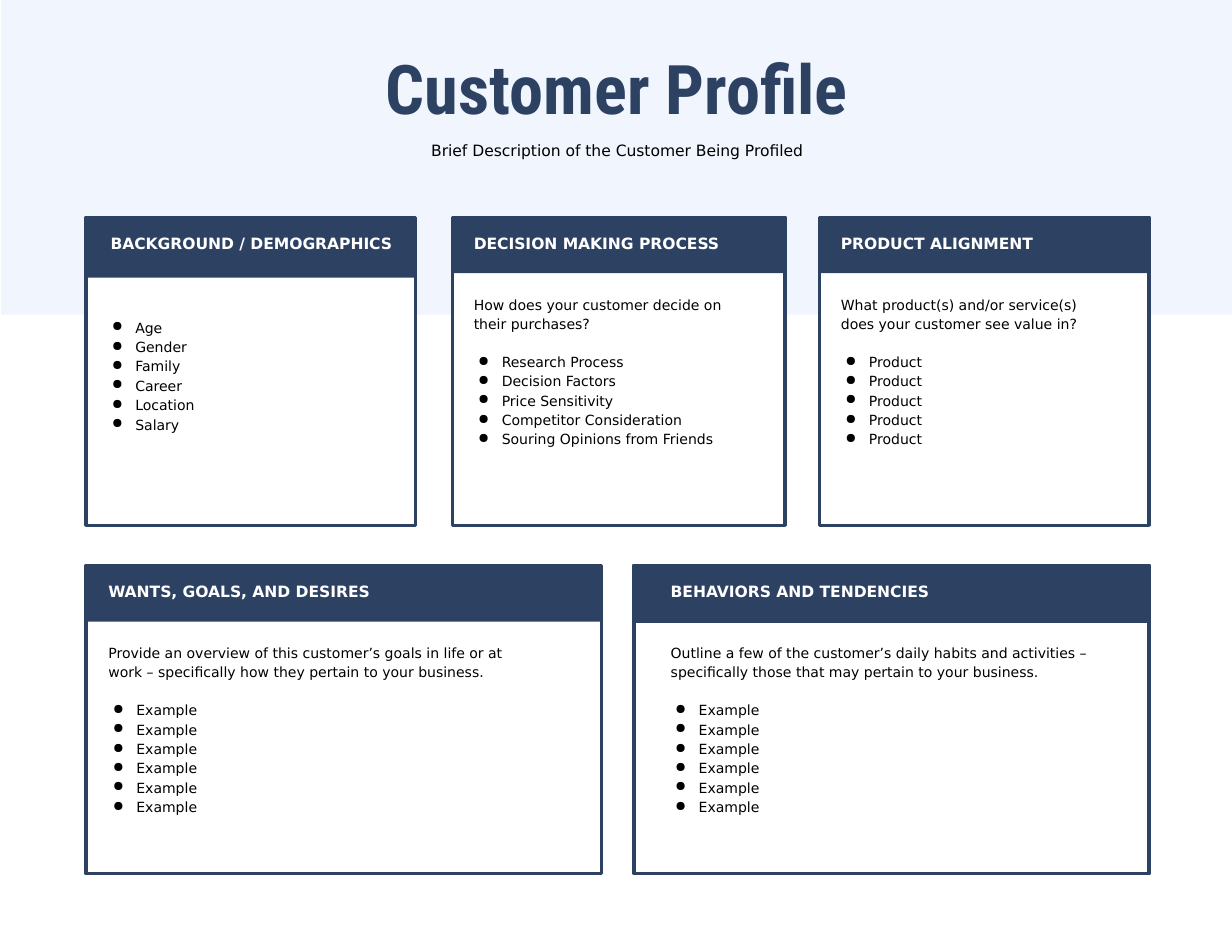
from lxml import etree
from pptx import Presentation, util as u
from pptx.dml.color import RGBColor
from pptx.enum import shapes, text
from pptx.oxml.ns import qn

Pt = u.Pt
NAVY, WHITE, BLACK, BLUE = "2D4262", "FFFFFF", "000000", "1C56F7"
SANS, TITLE = "DejaVu Sans", "Roboto Condensed"
PAGE_W, PAGE_H = 792, 612
PAD = 7.2


def color(code):
    return RGBColor.from_string(code)


def add_rect(slide, box, fill, line=None, alpha=None):
    rect = slide.shapes.add_shape(shapes.MSO_SHAPE.RECTANGLE, *map(Pt, box))
    rect.shadow.inherit = False
    rect.fill.solid()
    rect.fill.fore_color.rgb = color(fill)
    if alpha:
        tint = rect.fill._xPr.find(".//" + qn("a:srgbClr"))
        etree.SubElement(tint, qn("a:alpha"), val=str(alpha * 1000))
    if line:
        rect.line.color.rgb = color(line)
        rect.line.width = Pt(2.25)
    else:
        rect.line.fill.background()


def add_bullet(para):
    props = para._p.get_or_add_pPr()
    props.set("marL", str(Pt(18)))
    props.set("indent", str(Pt(-15.1)))
    tint = etree.SubElement(props, qn("a:buClr"))
    etree.SubElement(tint, qn("a:srgbClr"), val=BLACK)
    etree.SubElement(props, qn("a:buChar"), char="●")


def add_text(slide, box, lines, size=9, font=SANS, ink=BLACK, bold=False,
             center=False, space=None, lead=0):
    """Lines from index lead on are bullets; lead=None means no bullets."""
    area = slide.shapes.add_textbox(*map(Pt, box))
    frame = area.text_frame
    frame.word_wrap = True
    frame.auto_size = text.MSO_AUTO_SIZE.SHAPE_TO_FIT_TEXT
    frame.margin_left = frame.margin_right = Pt(PAD)
    frame.margin_top = frame.margin_bottom = Pt(PAD)
    for i, line in enumerate(lines):
        para = frame.paragraphs[0] if i == 0 else frame.add_paragraph()
        if center:
            para.alignment = text.PP_ALIGN.CENTER
        if space:
            para.line_spacing = space
        if lead is not None and i >= lead:
            para.space_before = para.space_after = Pt(0)
            add_bullet(para)
        elif lead:
            para.space_after = Pt(12)
        run = para.add_run()
        run.text = line
        run.font.size = Pt(size)
        run.font.name = font
        run.font.bold = bold
        run.font.color.rgb = color(ink)


def add_header(slide, box):
    x, y, w, h = box
    add_rect(slide, box, BLUE, alpha=6)
    add_text(slide, (x, y + 22.3, w, 67.7), ["Customer Profile"], size=44,
             font=TITLE, ink=NAVY, bold=True, center=True, lead=None)
    add_text(slide, (x, y + 82, w, 26.6),
             ["Brief Description of the Customer Being Profiled"],
             size=10, center=True, space=1.15, lead=None)


def add_panel(slide, box, head, items, intro=None, bar=36, edge=None,
              head_dx=6.5, head_w=188, dx=6.5, dy=41.8, body_w=188):
    x, y, w, h = box
    add_rect(slide, box, WHITE, line=NAVY)
    add_rect(slide, (x, y, w, bar), NAVY, line=edge)
    add_text(slide, (x + head_dx, y + 4.6, head_w, 26.6), [head],
             size=10, ink=WHITE, bold=True, lead=None)
    lines = [intro] + items if intro else items
    add_text(slide, (x + dx, y + dy, body_w, 138), lines, space=1.15,
             lead=1 if intro else 0)


def main():
    deck = Presentation()
    deck.slide_width, deck.slide_height = Pt(PAGE_W), Pt(PAGE_H)
    slide = deck.slides.add_slide(deck.slide_layouts[6])
    add_header(slide, (0.7, 0, PAGE_W, 202.3))

    left, mid, right, high = 55.4, 291, 527, 198
    top, low = 139.7, 363.6
    thin, wide = 211.7, 331.2
    add_panel(slide, (left, top, thin, high), "BACKGROUND / DEMOGRAPHICS",
              ["Age", "Gender", "Family", "Career", "Location", "Salary"],
              bar=38.9, head_dx=8.6, head_w=205, dy=56.7)
    add_panel(slide, (mid, top, 213.8, high), "DECISION MAKING PROCESS",
              ["Research Process", "Decision Factors", "Price Sensitivity",
               "Competitor Consideration", "Souring Opinions from Friends"],
              intro="How does your customer decide on their purchases?")
    add_panel(slide, (right, top, thin, high), "PRODUCT ALIGNMENT",
              ["Product"] * 5,
              intro="What product(s) and/or service(s) does your customer "
                    "see value in?")
    add_panel(slide, (left, low, wide, high), "WANTS, GOALS, AND DESIRES",
              ["Example"] * 6,
              intro="Provide an overview of this customer’s goals in life or "
                    "at work – specifically how they pertain to your business.",
              head_dx=7.2, head_w=249, dx=7.2, body_w=288.7)
    add_panel(slide, (right + thin - wide, low, wide, high),
              "BEHAVIORS AND TENDENCIES", ["Example"] * 6,
              intro="Outline a few of the customer’s daily habits and "
                    "activities – specifically those that may pertain to "
                    "your business.",
              edge=NAVY, head_dx=16.6, head_w=249, dx=16.6, body_w=296.6)
    deck.save("out.pptx")


if __name__ == "__main__":
    main()
